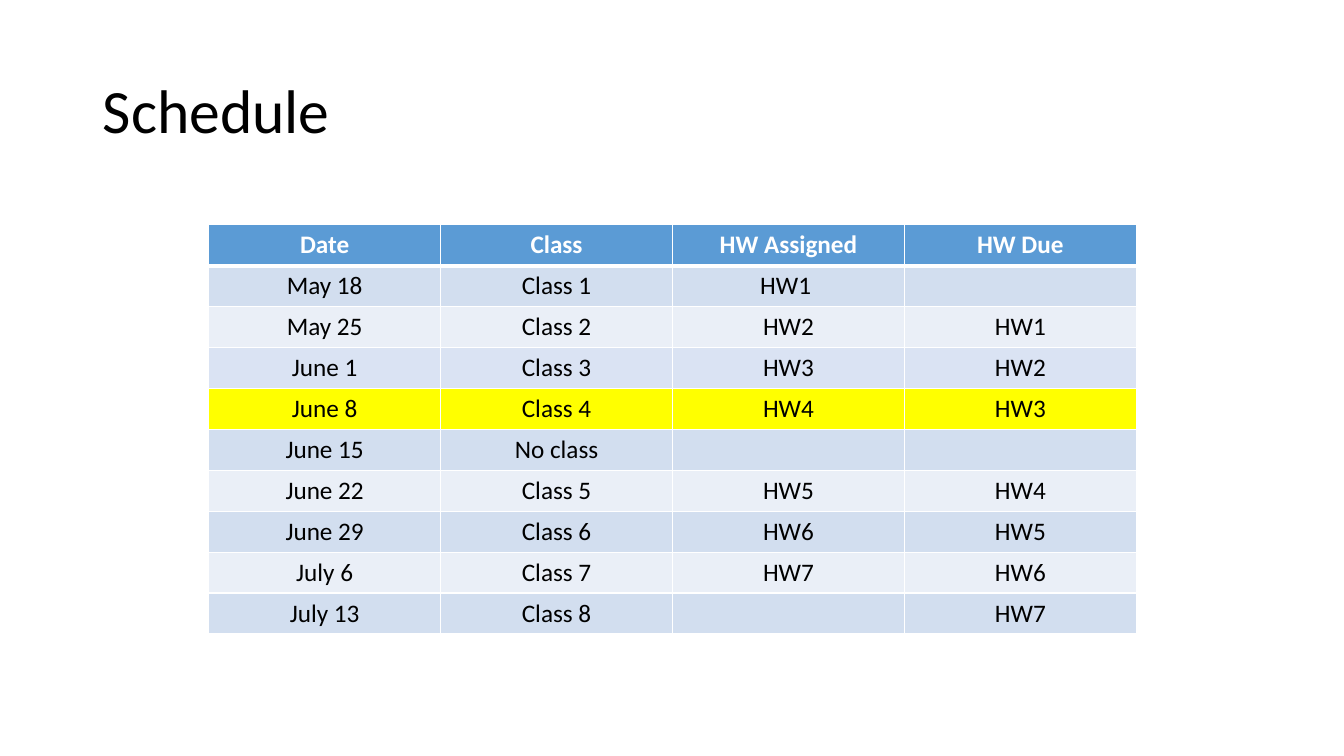
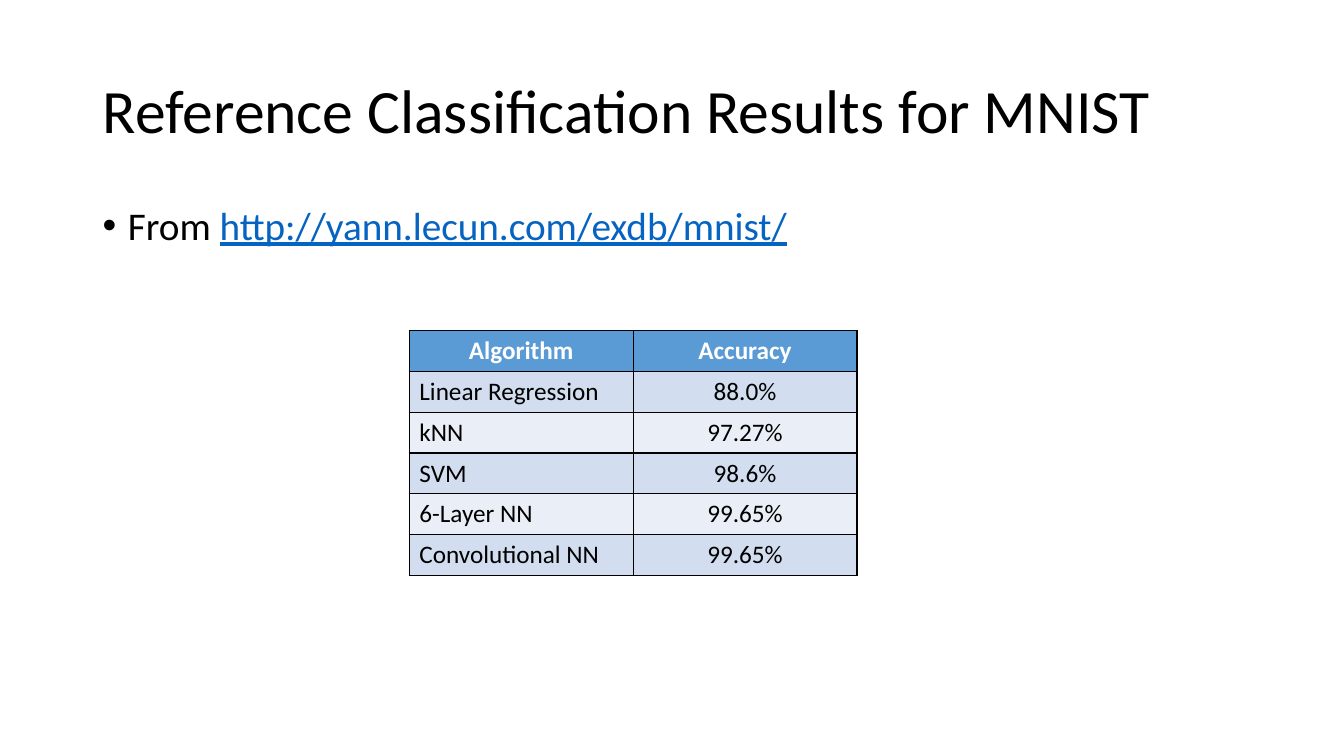
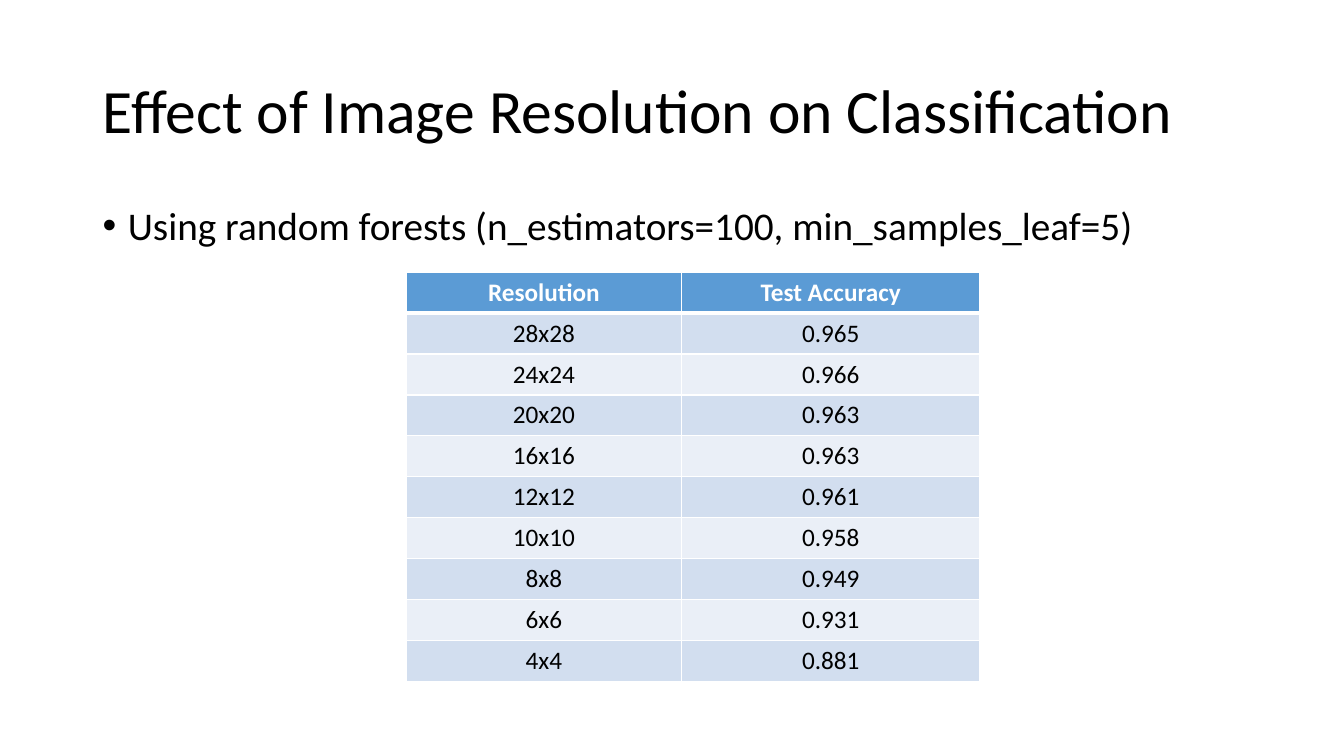
import pptx
import pptx.dml.color
import pptx.enum.text
import pptx.oxml
import pptx.oxml.ns
import pptx.util

EMU_PER_PX = 9144  # 100 px to the inch
SLIDE_SIZE = (1333, 750)
TITLE_BOX = (92, 40, 1150, 145)
BODY_BOX = (92, 200, 1150, 476)
BULLET_INDENT = 25
TITLE_ONLY_LAYOUT = 5

FONT = "Calibri"
BLACK = pptx.dml.color.RGBColor(0x00, 0x00, 0x00)
WHITE = pptx.dml.color.RGBColor(0xFF, 0xFF, 0xFF)
HEADER_BLUE = pptx.dml.color.RGBColor(0x5B, 0x9B, 0xD5)
BAND_DARK = pptx.dml.color.RGBColor(0xD2, 0xDE, 0xEF)
BAND_LIGHT = pptx.dml.color.RGBColor(0xEA, 0xEF, 0xF7)
BAND_LAVENDER = pptx.dml.color.RGBColor(0xDA, 0xE3, 0xF3)
HIGHLIGHT_YELLOW = pptx.dml.color.RGBColor(0xFF, 0xFF, 0x00)
LINK_BLUE = pptx.dml.color.RGBColor(0x05, 0x63, 0xC1)

CENTER = pptx.enum.text.PP_ALIGN.CENTER
LEFT = pptx.enum.text.PP_ALIGN.LEFT

SCHEDULE = [
    ("Date", "Class", "HW Assigned", "HW Due"),
    ("May 18", "Class 1", "HW1 ", ""),
    ("May 25", "Class 2", "HW2", "HW1"),
    ("June 1", "Class 3", "HW3", "HW2"),
    ("June 8", "Class 4", "HW4", "HW3"),
    ("June 15", "No class", "", ""),
    ("June 22", "Class 5", "HW5", "HW4"),
    ("June 29", "Class 6", "HW6", "HW5"),
    ("July 6", "Class 7", "HW7", "HW6"),
    ("July 13", "Class 8", "", "HW7"),
]
ALGORITHM_RESULTS = [
    ("Algorithm", "Accuracy"),
    ("Linear Regression", "88.0%"),
    ("kNN", "97.27%"),
    ("SVM", "98.6%"),
    ("6-Layer NN", "99.65%"),
    ("Convolutional NN", "99.65%"),
]
RESOLUTION_RESULTS = [
    ("Resolution", "Test Accuracy"),
    ("28x28", "0.965"),
    ("24x24", "0.966"),
    ("20x20", "0.963"),
    ("16x16", "0.963"),
    ("12x12", "0.961"),
    ("10x10", "0.958"),
    ("8x8", "0.949"),
    ("6x6", "0.931"),
    ("4x4", "0.881"),
]


def px(length):
    return pptx.util.Emu(round(length * EMU_PER_PX))


def add_run(paragraph, text, size, color=BLACK, bold=False, underline=False):
    run = paragraph.add_run()
    run.text = text
    run.font.name = FONT
    run.font.size = pptx.util.Pt(size)
    run.font.color.rgb = color
    run.font.bold = bold
    run.font.underline = underline


def add_titled_slide(presentation, title):
    slide = presentation.slides.add_slide(presentation.slide_layouts[TITLE_ONLY_LAYOUT])
    shape = slide.shapes.title
    shape.left, shape.top, shape.width, shape.height = map(px, TITLE_BOX)
    shape.text_frame.vertical_anchor = pptx.enum.text.MSO_ANCHOR.MIDDLE
    paragraph = shape.text_frame.paragraphs[0]
    paragraph.alignment = LEFT
    paragraph.line_spacing = 0.9
    add_run(paragraph, title, 44)
    return slide


def add_bullet(slide, box, text, link_text=None):
    """Place one bulleted line; link_text follows in link colours."""
    frame = slide.shapes.add_textbox(*map(px, box)).text_frame
    frame.word_wrap = True
    paragraph = frame.paragraphs[0]
    paragraph.line_spacing = 0.9
    paragraph.space_before = pptx.util.Pt(10)
    add_run(paragraph, text, 28)
    if link_text:
        add_run(paragraph, link_text, 28, LINK_BLUE, underline=True)
    properties = paragraph._p.get_or_add_pPr()
    properties.set("marL", str(px(BULLET_INDENT)))
    properties.set("indent", str(-px(BULLET_INDENT)))
    namespace = pptx.oxml.ns.nsdecls("a")
    properties.append(pptx.oxml.parse_xml(f'<a:buFont {namespace} typeface="Arial"/>'))
    properties.append(pptx.oxml.parse_xml(f'<a:buChar {namespace} char="•"/>'))


def set_cell_borders(cell, color, top_width, bottom_width):
    widths = {"lnL": 1, "lnR": 1, "lnT": top_width, "lnB": bottom_width}
    properties = cell._tc.get_or_add_tcPr()
    for position, (tag, width) in enumerate(widths.items()):
        line = pptx.oxml.parse_xml(
            f'<a:{tag} {pptx.oxml.ns.nsdecls("a")} w="{pptx.util.Pt(width)}">'
            f'<a:solidFill><a:srgbClr val="{color}"/></a:solidFill></a:{tag}>')
        properties.insert(position, line)


def add_banded_table(slide, box, column_widths, rows, border=WHITE,
                     header_rule=3, first_alignment=CENTER, row_fills=None):
    """Fill box with a header and banded rows; row_fills overrides bands by row."""
    left, top, width, height = box
    table = slide.shapes.add_table(
        len(rows), len(column_widths), px(left), px(top), px(width), px(height)).table
    table.horz_banding = False
    for column, column_width in zip(table.columns, column_widths):
        column.width = px(column_width)

    fills = [HEADER_BLUE] + [
        BAND_DARK if index % 2 else BAND_LIGHT for index in range(1, len(rows))]
    for index, fill in (row_fills or {}).items():
        fills[index] = fill

    for row_index, texts in enumerate(rows):
        is_header = row_index == 0
        table.rows[row_index].height = px(height / len(rows))
        for column_index, text in enumerate(texts):
            cell = table.cell(row_index, column_index)
            cell.fill.solid()
            cell.fill.fore_color.rgb = fills[row_index]
            set_cell_borders(cell, border,
                             top_width=header_rule if row_index == 1 else 1,
                             bottom_width=header_rule if is_header else 1)
            paragraph = cell.text_frame.paragraphs[0]
            is_label = column_index == 0 and not is_header
            paragraph.alignment = first_alignment if is_label else CENTER
            if text:
                add_run(paragraph, text, 18, WHITE if is_header else BLACK, bold=is_header)


def build_schedule(presentation):
    slide = add_titled_slide(presentation, "Schedule")
    add_banded_table(slide, (207, 223, 920, 406), [230] * 4, SCHEDULE,
                     row_fills={3: BAND_LAVENDER, 4: HIGHLIGHT_YELLOW})


def build_algorithm_results(presentation):
    slide = add_titled_slide(presentation, "Reference Classification Results for MNIST")
    add_bullet(slide, BODY_BOX, "From ", "http://yann.lecun.com/exdb/mnist/")
    add_banded_table(slide, (406, 328, 444, 243), [222] * 2, ALGORITHM_RESULTS,
                     border=BLACK, header_rule=1, first_alignment=LEFT)


def build_resolution_results(presentation):
    slide = add_titled_slide(presentation, "Effect of Image Resolution on Classification")
    add_bullet(slide, BODY_BOX, "Using random forests (n_estimators=100, min_samples_leaf=5)")
    add_banded_table(slide, (403, 270, 569, 406), [273, 296], RESOLUTION_RESULTS)


def main():
    presentation = pptx.Presentation()
    presentation.slide_width, presentation.slide_height = map(px, SLIDE_SIZE)
    build_schedule(presentation)
    build_algorithm_results(presentation)
    build_resolution_results(presentation)
    presentation.save("out.pptx")


if __name__ == "__main__":
    main()
